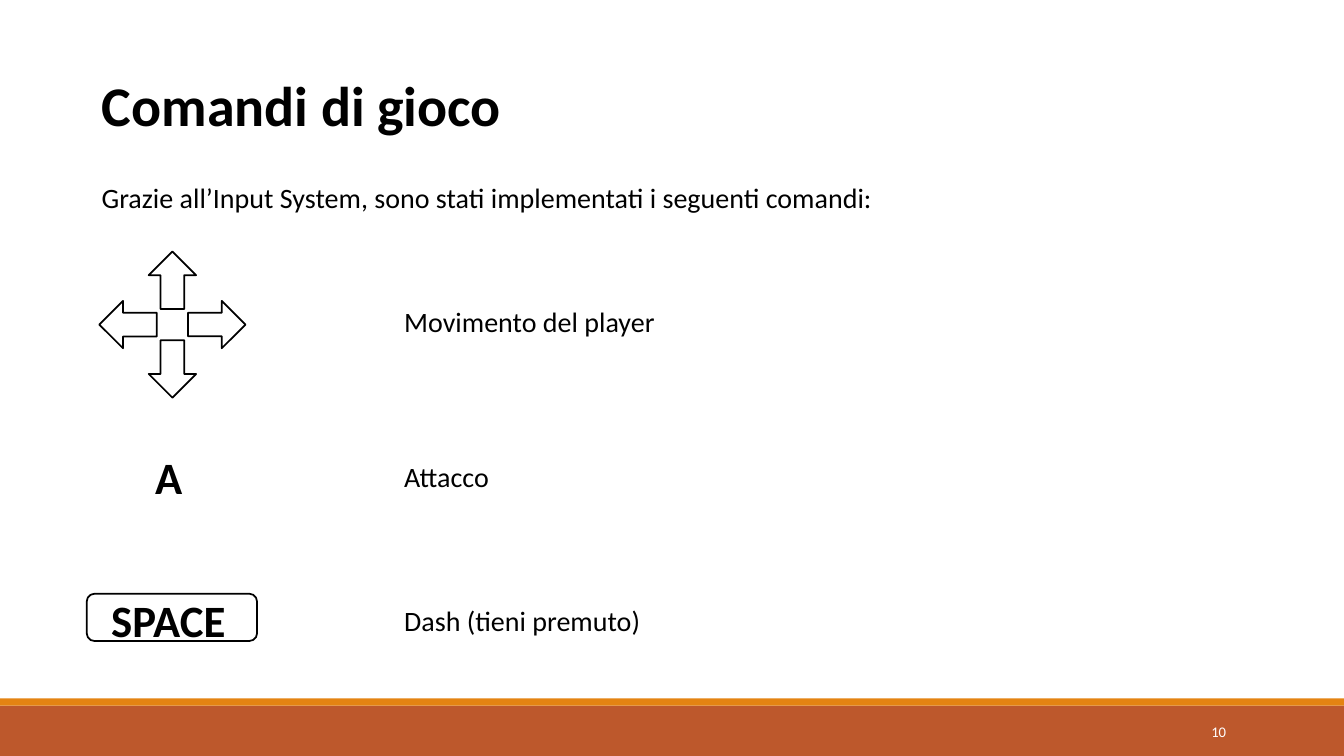
from math import cos, radians, sin

from pptx import Presentation
from pptx.dml.color import RGBColor
from pptx.enum.shapes import MSO_SHAPE
from pptx.enum.text import MSO_ANCHOR, MSO_AUTO_SIZE, PP_ALIGN
from pptx.util import Inches, Pt

SLIDE_WIDTH, SLIDE_HEIGHT = 13.33, 7.5
BLACK, WHITE, RUST, ORANGE = "000000", "FFFFFF", "BD582C", "E48312"


def color(hex_string):
    return RGBColor.from_string(hex_string)


def write_text(shape, text, size=20, bold=False, font_color=BLACK,
               align=PP_ALIGN.LEFT, anchor=MSO_ANCHOR.MIDDLE):
    frame = shape.text_frame
    frame.word_wrap = True
    frame.auto_size = MSO_AUTO_SIZE.NONE
    frame.vertical_anchor = anchor
    paragraph = frame.paragraphs[0]
    paragraph.text = text
    paragraph.alignment = align
    paragraph.font.name = "Calibri"
    paragraph.font.size = Pt(size)
    paragraph.font.bold = bold
    paragraph.font.color.rgb = color(font_color)


def add_text(slide, text, left, top, width, height, **text_format):
    box = slide.shapes.add_textbox(Inches(left), Inches(top), Inches(width), Inches(height))
    write_text(box, text, **text_format)


def add_box(slide, kind, left, top, width, height, fill=None, line=None):
    shape = slide.shapes.add_shape(kind, Inches(left), Inches(top), Inches(width), Inches(height))
    shape.shadow.inherit = False
    if fill:
        shape.fill.solid()
        shape.fill.fore_color.rgb = color(fill)
    else:
        shape.fill.background()
    if line:
        shape.line.color.rgb = color(line)
        shape.line.width = Pt(1.25)
    else:
        shape.line.fill.background()
    return shape


def add_footer(slide, top, number):
    add_box(slide, MSO_SHAPE.RECTANGLE, 0, top + 0.07, SLIDE_WIDTH, 0.5, fill=RUST)
    add_box(slide, MSO_SHAPE.RECTANGLE, 0, top, SLIDE_WIDTH, 0.07, fill=ORANGE)
    add_text(slide, number, 10.83, top + 0.13, 1.43, 0.4,
             size=10.5, font_color=WHITE, align=PP_ALIGN.RIGHT)


def add_heading(slide, left, top, width, title_text, intro_text):
    title = slide.shapes.title
    title.left, title.top = Inches(left), Inches(top)
    title.width, title.height = Inches(width), Inches(0.78)
    write_text(title, title_text, size=40, bold=True, anchor=MSO_ANCHOR.TOP)
    add_text(slide, intro_text, left, top + 1.09, width, 0.44, anchor=MSO_ANCHOR.TOP)


def add_arrow_keys(slide, center_x, center_y):
    width, height, radius = 0.57, 0.47, 0.44
    for angle in (270, 0, 180, 90):
        left = center_x + radius * cos(radians(angle)) - width / 2
        top = center_y + radius * sin(radians(angle)) - height / 2
        arrow = add_box(slide, MSO_SHAPE.RIGHT_ARROW, left, top, width, height, line=BLACK)
        arrow.rotation = angle


def add_letter_key(slide, center_x, center_y):
    add_text(slide, "A", center_x - 0.75, center_y - 0.32, 1.43, 0.64,
             size=32, bold=True, align=PP_ALIGN.CENTER)


def add_space_key(slide, center_x, center_y):
    key = add_box(slide, MSO_SHAPE.ROUNDED_RECTANGLE, center_x - 0.85, center_y - 0.26,
                  1.69, 0.47, line=BLACK)
    frame = key.text_frame
    frame.margin_left = frame.margin_bottom = 0
    frame.margin_right, frame.margin_top = Inches(0.07), Inches(0.05)
    write_text(key, "SPACE", size=32, bold=True, align=PP_ALIGN.CENTER)


def add_commands(slide, key_center, label_left, label_width):
    commands = (
        (add_arrow_keys, 3.22, "Movimento del player", 3.19),
        (add_letter_key, 4.73, "Attacco", 4.73),
        (add_space_key, 6.15, "Dash (tieni premuto)", 6.15),
    )
    for add_key, key_middle, label, label_middle in commands:
        add_key(slide, key_center, key_middle)
        add_text(slide, label, label_left, label_middle - 0.22, label_width, 0.44)


def main():
    presentation = Presentation()
    presentation.slide_width = Inches(SLIDE_WIDTH)
    presentation.slide_height = Inches(SLIDE_HEIGHT)
    slide = presentation.slides.add_slide(presentation.slide_layouts[5])
    add_footer(slide, 6.93, "10")
    add_heading(slide, 0.91, 0.65, 11.3, "Comandi di gioco",
                "Grazie all’Input System, sono stati implementati i seguenti comandi:")
    add_commands(slide, 1.71, 3.91, 7.15)
    presentation.save("out.pptx")


if __name__ == "__main__":
    main()
